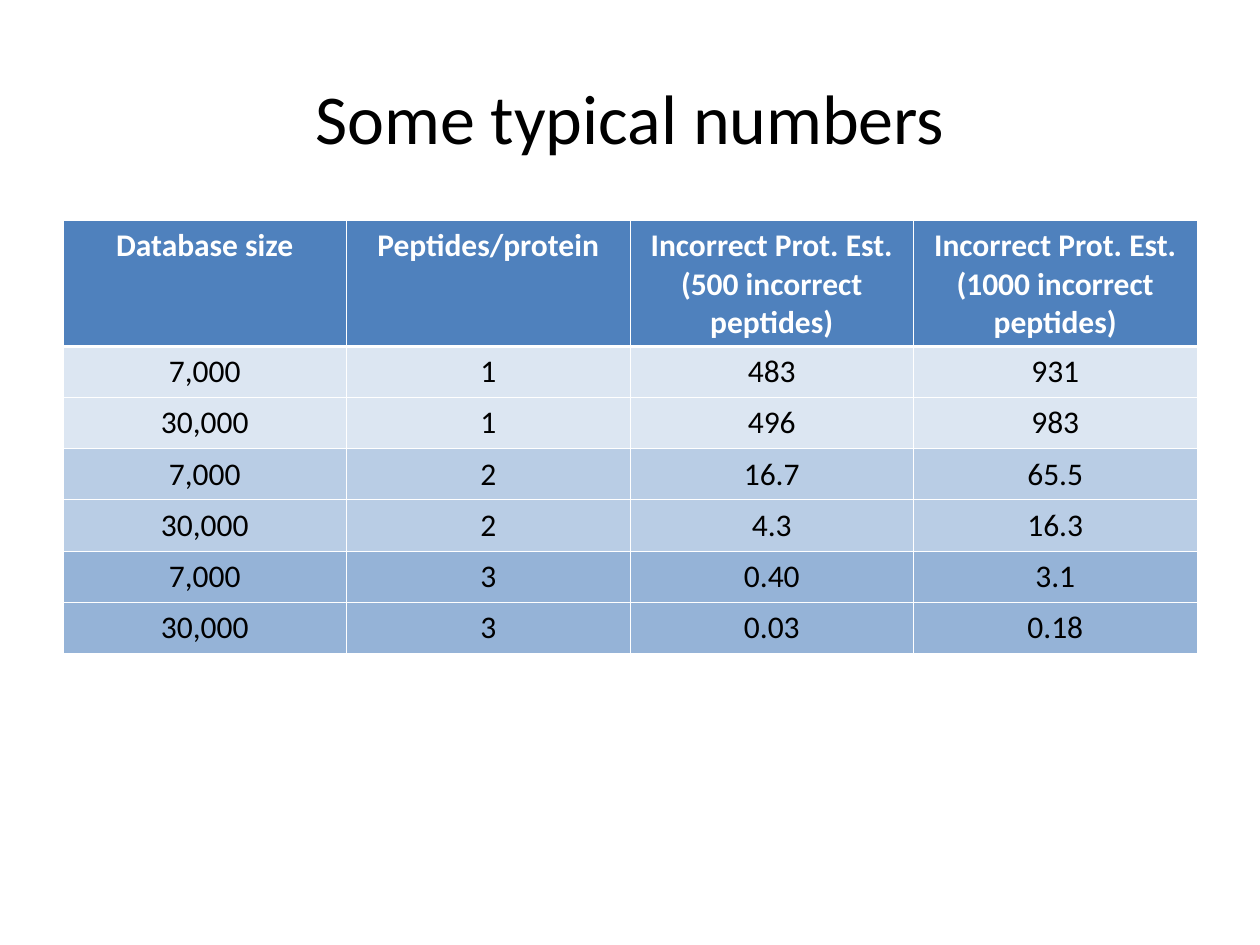
from pptx import Presentation
from pptx.dml.color import RGBColor
from pptx.enum.text import MSO_ANCHOR, PP_ALIGN
from pptx.oxml.ns import qn
from pptx.util import Pt
from lxml import etree

CENTER = PP_ALIGN.CENTER
MIDDLE = MSO_ANCHOR.MIDDLE
BLACK = RGBColor(0x00, 0x00, 0x00)
WHITE = RGBColor(0xFF, 0xFF, 0xFF)
HEADER = RGBColor(0x4F, 0x81, 0xBD)
BANDS = [
    RGBColor(0xDC, 0xE6, 0xF2),
    RGBColor(0xB9, 0xCD, 0xE5),
    RGBColor(0x95, 0xB3, 0xD7),
]
FONT = "Calibri"
THIN, THICK = Pt(0.45), Pt(1.47)

ROWS = [
    ["Database size", "Peptides/protein",
     "Incorrect Prot. Est. (500 incorrect peptides)",
     "Incorrect Prot. Est. (1000 incorrect peptides)"],
    ["7,000", "1", "483", "931"],
    ["30,000", "1", "496", "983"],
    ["7,000", "2", "16.7", "65.5"],
    ["30,000", "2", "4.3", "16.3"],
    ["7,000", "3", "0.40", "3.1"],
    ["30,000", "3", "0.03", "0.18"],
]


def write(tf, text, size, color, bold=False):
    p = tf.paragraphs[0]
    p.text = text
    p.alignment = CENTER
    font = p.runs[0].font
    font.name = FONT
    font.size = Pt(size)
    font.bold = bold
    font.color.rgb = color


def add_border(cell, side, width):
    tcPr = cell._tc.get_or_add_tcPr()
    ln = etree.SubElement(tcPr, qn(f"a:ln{side}"), w=str(width))
    fill = etree.SubElement(ln, qn("a:solidFill"))
    etree.SubElement(fill, qn("a:srgbClr"), val=str(WHITE))


prs = Presentation()
prs.slide_width, prs.slide_height = Pt(720), Pt(540)
s = prs.slides.add_slide(prs.slide_layouts[6])

title = s.shapes.add_textbox(Pt(36), Pt(21.6), Pt(648), Pt(90))
tf = title.text_frame
tf.word_wrap = True
tf.vertical_anchor = MIDDLE
write(tf, "Some typical numbers", 40, BLACK)

table = s.shapes.add_table(
    len(ROWS), len(ROWS[0]), Pt(36), Pt(126), Pt(648), Pt(247.2)).table
for col in table.columns:
    col.width = Pt(162)

for i, values in enumerate(ROWS):
    is_header = i == 0
    table.rows[i].height = Pt(72 if is_header else 29.2)
    for j, value in enumerate(values):
        cell = table.cell(i, j)
        write(cell.text_frame, value, 18, WHITE if is_header else BLACK, is_header)
        add_border(cell, "L", THIN)
        add_border(cell, "R", THIN)
        add_border(cell, "T", THICK if i == 1 else THIN)
        add_border(cell, "B", THICK if is_header else THIN)
        cell.fill.solid()
        cell.fill.fore_color.rgb = HEADER if is_header else BANDS[(i - 1) // 2]

prs.save("out.pptx")
